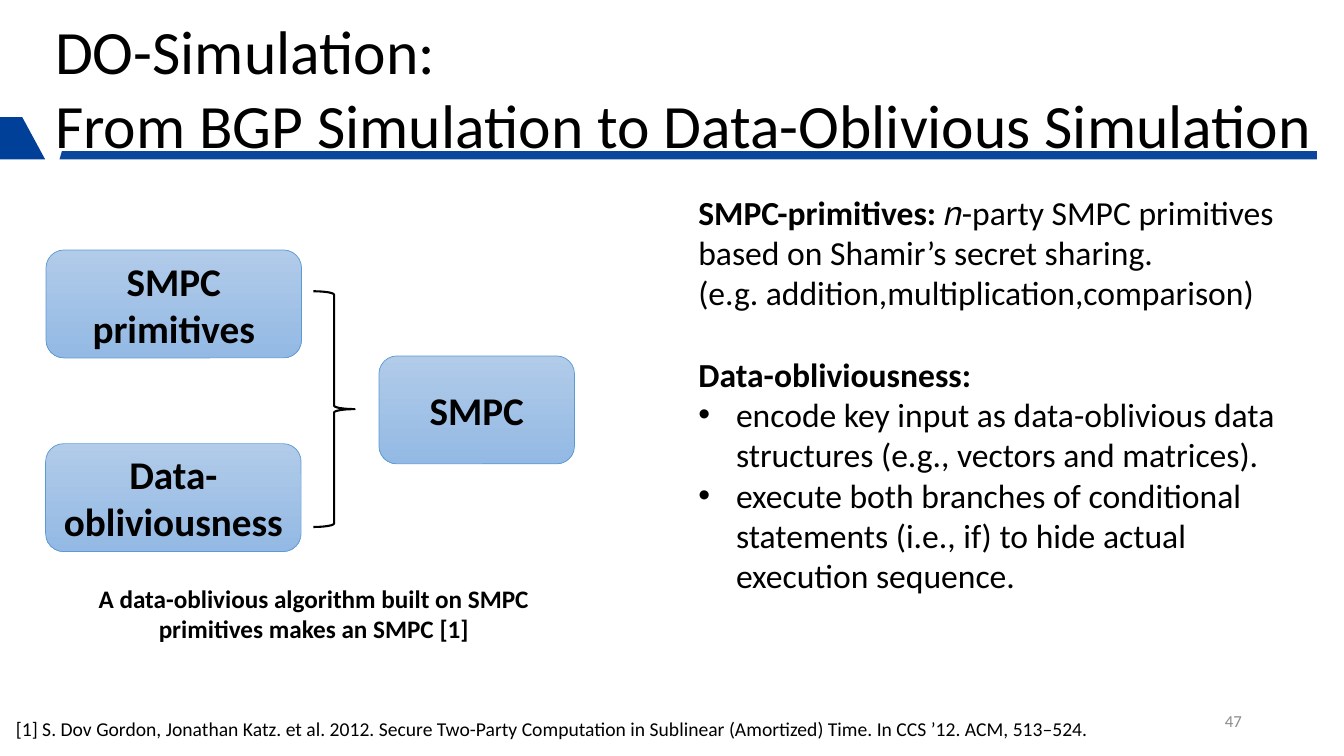
from lxml import etree
from pptx import Presentation
from pptx.dml.color import RGBColor
from pptx.enum.shapes import MSO_SHAPE
from pptx.enum.text import MSO_ANCHOR, MSO_AUTO_SIZE, PP_ALIGN
from pptx.oxml.ns import qn
from pptx.util import Cm, Pt

ROUNDED, BRACE = MSO_SHAPE.ROUNDED_RECTANGLE, MSO_SHAPE.RIGHT_BRACE
LEFT, CENTER, RIGHT = PP_ALIGN.LEFT, PP_ALIGN.CENTER, PP_ALIGN.RIGHT
TOP, MIDDLE = MSO_ANCHOR.TOP, MSO_ANCHOR.MIDDLE
GROW, FIXED = MSO_AUTO_SIZE.SHAPE_TO_FIT_TEXT, MSO_AUTO_SIZE.NONE

FONT = "Calibri"
BLACK, GREY, NAVY, EDGE = "000000", "8C8C8C", "014098", "5B9BD5"
BOX_SHADES = ("B1CBE9", "93B9E4")
BULLET_INDENT = Cm(0.95)
SECTION_GAP = Pt(29.3)

TITLE = ["DO-Simulation:", "From BGP Simulation to Data-Oblivious Simulation"]
CONCEPTS = [
    (["SMPC"], (9.55, 8.97, 4.93)),
    (["SMPC", "primitives"], (1.16, 6.3, 6.44)),
    (["Data-obliviousness"], (1.15, 11.18, 6.44)),
]
CONCEPT_HEIGHT = 2.72
CAPTION = ["A data-oblivious algorithm built on SMPC", "primitives makes an SMPC [1]"]
DEFINITIONS = [
    {"runs": [("SMPC-primitives: ", True),
              ("𝑛-party SMPC primitives based on Shamir’s secret sharing.", False)]},
    {"runs": [("(e.g. addition,multiplication,comparison)", False)]},
    {"runs": [("Data-obliviousness:", True)], "before": SECTION_GAP},
    {"runs": [("encode key input as data-oblivious data structures "
               "(e.g., vectors and matrices).", False)], "bullet": True},
    {"runs": [("execute both branches of conditional statements (i.e., if) "
               "to hide actual execution sequence.", False)], "bullet": True},
]
REFERENCE = ("[1] S. Dov Gordon, Jonathan Katz. et al. 2012. Secure Two-Party Computation "
             "in Sublinear (Amortized) Time. In CCS ’12. ACM, 513–524.")
PAGE_NUMBER = "47"
RULE = [(1.5, 4.02), (33.19, 4.02), (33.19, 3.81), (1.56, 3.81)]
TAB = [(0.56, 2.95), (1.14, 4.02), (0, 4.02), (0, 2.95)]


def rgb(value):
    return RGBColor.from_string(value)


def plain(lines, bold=False):
    return [{"runs": [(line, bold)]} for line in lines]


def write(frame, paragraphs, size, color=BLACK, align=LEFT, anchor=TOP):
    frame.vertical_anchor = anchor
    for index, content in enumerate(paragraphs):
        paragraph = frame.add_paragraph() if index else frame.paragraphs[0]
        paragraph.alignment = align
        if "before" in content:
            paragraph.space_before = content["before"]
        if content.get("bullet"):
            properties = paragraph._p.get_or_add_pPr()
            properties.set("marL", str(BULLET_INDENT))
            properties.set("indent", str(-BULLET_INDENT))
            etree.SubElement(properties, qn("a:buFont"), typeface="Arial")
            etree.SubElement(properties, qn("a:buChar"), char="•")
        for words, bold in content["runs"]:
            run = paragraph.add_run()
            run.text = words
            run.font.name = FONT
            run.font.size = Pt(size)
            run.font.bold = bold
            run.font.color.rgb = rgb(color)


def add_text(slide, place, paragraphs, size, wrap=True, grow=True, **style):
    frame = slide.shapes.add_textbox(*map(Cm, place)).text_frame
    frame.word_wrap = wrap
    frame.auto_size = GROW if grow else FIXED
    write(frame, paragraphs, size, **style)


def add_outline(slide, corners):
    points = [(Cm(x), Cm(y)) for x, y in corners]
    builder = slide.shapes.build_freeform(*points[0])
    builder.add_line_segments(points[1:], close=True)
    outline = builder.convert_to_shape()
    outline.shadow.inherit = False
    outline.fill.solid()
    outline.fill.fore_color.rgb = rgb(NAVY)
    outline.line.fill.background()
    return outline


def add_concept(slide, lines, left, top, width):
    concept = slide.shapes.add_shape(
        ROUNDED, Cm(left), Cm(top), Cm(width), Cm(CONCEPT_HEIGHT))
    concept.shadow.inherit = False
    concept.fill.gradient()
    concept.fill.gradient_angle = 270
    for stop, shade in zip(concept.fill.gradient_stops, BOX_SHADES):
        stop.color.rgb = rgb(shade)
    concept.line.color.rgb = rgb(EDGE)
    concept.line.width = Pt(0.5)
    concept.text_frame.word_wrap = True
    write(concept.text_frame, plain(lines, True), 28, align=CENTER, anchor=MIDDLE)


def add_brace(slide):
    brace = slide.shapes.add_shape(BRACE, Cm(7.9), Cm(7.34), Cm(1.04), Cm(5.94))
    brace.shadow.inherit = False
    brace.fill.background()
    brace.line.color.rgb = rgb(BLACK)
    brace.line.width = Pt(1.5)


def main():
    deck = Presentation()
    deck.slide_width, deck.slide_height = Cm(33.87), Cm(19.05)
    slide = deck.slides.add_slide(deck.slide_layouts[6])

    rule = add_outline(slide, RULE)
    rule_color = rule._element.spPr.find(qn("a:solidFill"))[0]
    etree.SubElement(rule_color, qn("a:alpha"), val="96000")
    add_outline(slide, TAB)

    add_text(slide, (1.14, 0.2, 32.44, 4.01), plain(TITLE), 44, wrap=False)
    for lines, place in CONCEPTS:
        add_concept(slide, lines, *place)
    add_brace(slide)
    add_text(slide, (17.35, 4.7, 15.85, 12.57), DEFINITIONS, 24)
    add_text(slide, (0.15, 17.93, 30.61, 0.86), plain([REFERENCE]), 14)
    add_text(slide, (1.7, 14.58, 12.42, 1.8), plain(CAPTION, True), 18, align=CENTER)
    add_text(slide, (23.93, 17.65, 7.62, 1.02), plain([PAGE_NUMBER]), 12,
             grow=False, color=GREY, align=RIGHT, anchor=MIDDLE)

    deck.save("out.pptx")


if __name__ == "__main__":
    main()
